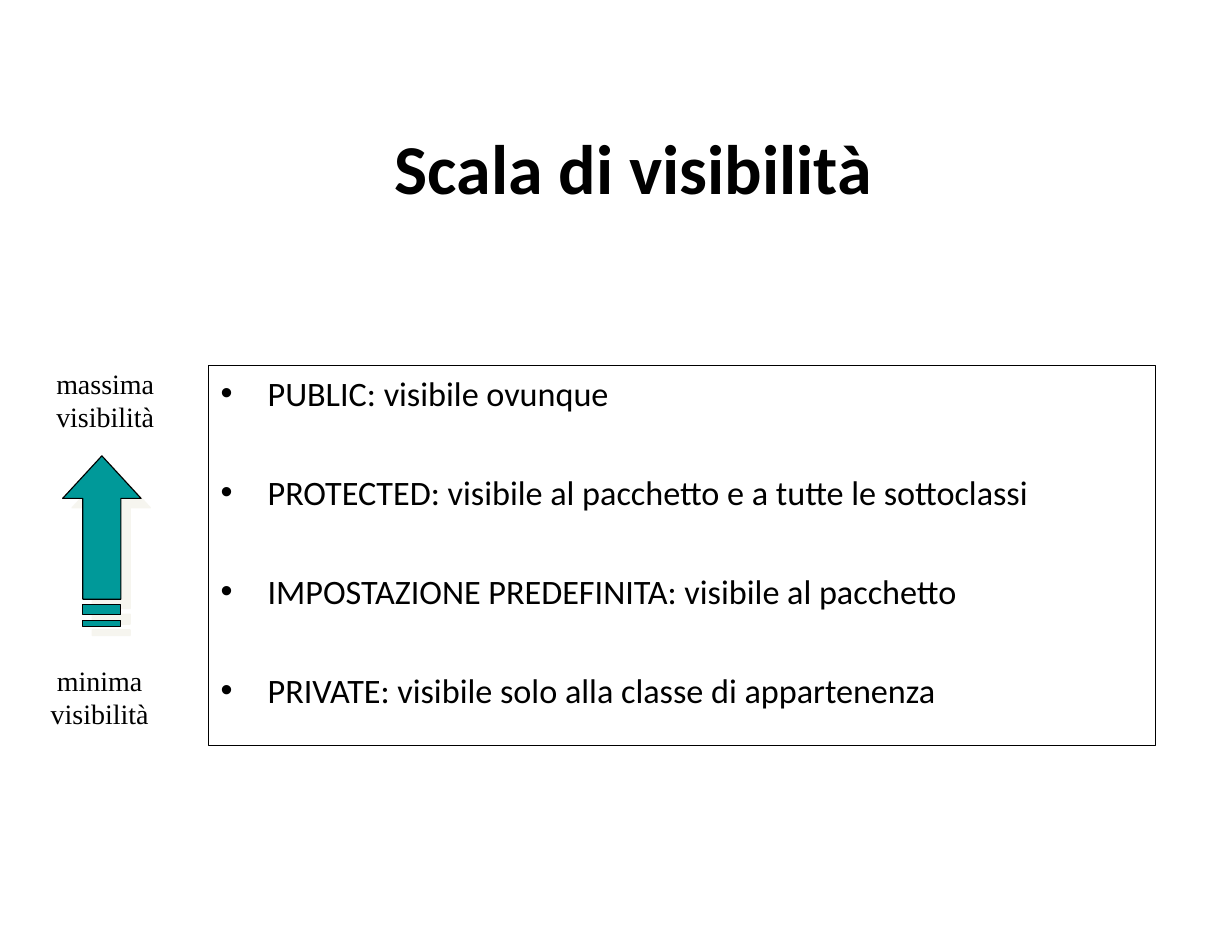
from pptx import Presentation
from pptx.dml.color import RGBColor
from pptx.enum.text import MSO_ANCHOR, MSO_AUTO_SIZE, PP_ALIGN
from pptx.oxml import parse_xml
from pptx.oxml.ns import nsdecls
from pptx.util import Inches, Pt


def paint(part, code):
    part.solid()
    part.fore_color.rgb = RGBColor.from_string(code)


def style(frame, font, size, bold=False):
    frame.margin_left = frame.margin_right = Inches(0.11)
    frame.margin_top = frame.margin_bottom = Inches(0.06)
    frame.auto_size = MSO_AUTO_SIZE.NONE
    for para in frame.paragraphs:
        for run in para.runs:
            run.font.name = font
            run.font.size = Pt(size)
            run.font.bold = bold
            paint(run.font.fill, "000000")


deck = Presentation()
deck.slide_width, deck.slide_height = Inches(11), Inches(8.5)
slide = deck.slides.add_slide(deck.slide_layouts[1])

# Title
title = slide.shapes.title
title.left, title.top = Inches(1.17), Inches(0.78)
title.width, title.height = Inches(8.97), Inches(1.42)
frame = title.text_frame
frame.text = "Scala di visibilità"
frame.vertical_anchor = MSO_ANCHOR.MIDDLE
frame.paragraphs[0].alignment = PP_ALIGN.CENTER
style(frame, "Calibri", 45, True)

# Framed list of access levels
levels = [
    "PUBLIC: visibile ovunque",
    "PROTECTED: visibile al pacchetto e a tutte le sottoclassi",
    "IMPOSTAZIONE PREDEFINITA: visibile al pacchetto",
    "PRIVATE: visibile solo alla classe di appartenenza",
]
body = slide.placeholders[1]
body.left, body.top = Inches(1.86), Inches(3.26)
body.width, body.height = Inches(8.46), Inches(3.4)
paint(body.line.fill, "000000")
body.line.width = Pt(0.75)
frame = body.text_frame
frame.text = "\n".join(levels)
style(frame, "Calibri", 22)
for para in frame.paragraphs:
    para.space_before, para.space_after = Pt(0.5), Pt(36.8)
    props = para._p.get_or_add_pPr()
    props.set("marL", str(Inches(0.42)))
    props.set("indent", str(-Inches(0.42)))

# Striped arrow, in hundredths of an inch: head and shaft, then two stripes
mid, half, wing = 91, 17, 35
left, right = mid - half, mid + half
neck = 445
pen = slide.shapes.build_freeform(mid, 407, scale=Inches(0.01))
pen.add_line_segments([
    (mid + wing, neck), (right, neck), (right, 535),
    (left, 535), (left, neck), (mid - wing, neck),
])
for top, base in [(540, 549), (554, 559)]:
    pen.move_to(left, top)
    pen.add_line_segments([(right, top), (right, base), (left, base)])
arrow = pen.convert_to_shape()
paint(arrow.fill, "009999")
paint(arrow.line.fill, "000000")
arrow.line.width = Pt(0.75)

# Pale shadow, down and to the right
arrow._element.spPr.append(parse_xml(
    f'<a:effectLst {nsdecls("a")}>'
    f'<a:outerShdw dist="{Pt(8.5)}" dir="2700000" algn="ctr" rotWithShape="0">'
    '<a:srgbClr val="EEECE1"><a:alpha val="50000"/></a:srgbClr>'
    '</a:outerShdw></a:effectLst>'))

# Labels at the ends of the arrow
for word, x, y in [("massima", 0.39, 3.21), ("minima", 0.34, 5.86)]:
    label = slide.shapes.add_textbox(
        Inches(x), Inches(y), Inches(1.1), Inches(0.71))
    frame = label.text_frame
    frame.text = f"{word}\nvisibilità"
    frame.word_wrap = False
    style(frame, "Times New Roman", 18)
    for para in frame.paragraphs:
        para.alignment = PP_ALIGN.CENTER

deck.save("out.pptx")
